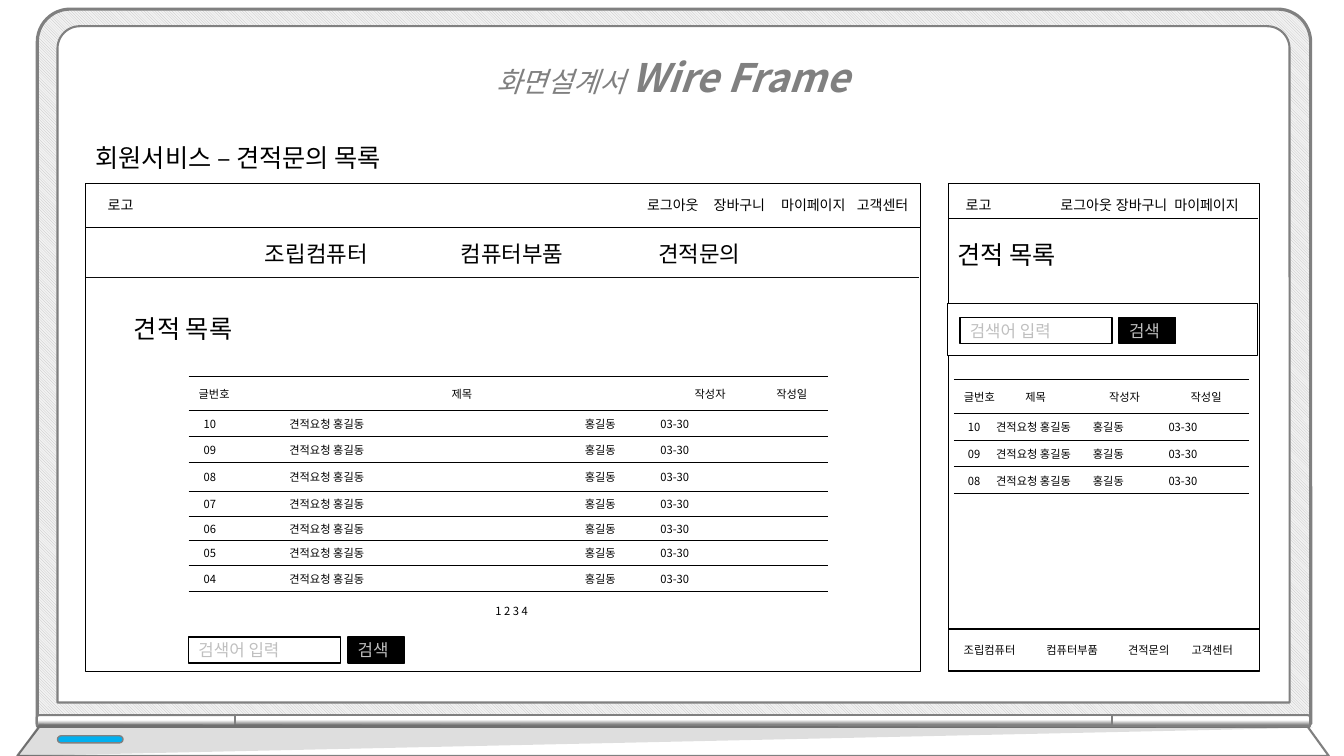
from dataclasses import dataclass
from itertools import accumulate

from lxml import etree
from pptx import Presentation
from pptx import util as u
from pptx.dml.color import RGBColor
from pptx.enum import dml, shapes, text
from pptx.oxml.ns import qn

SHAPE = shapes.MSO_SHAPE
ALIGN = text.PP_ALIGN


@dataclass(frozen=True)
class Theme:
    font: str = "Noto Sans CJK KR"
    ink: str = "000000"
    rule: str = "0D0D0D"
    paper: str = "FFFFFF"
    frame: str = "808080"
    hint: str = "BFBFBF"
    casing: str = "F2F2F2"
    light: str = "00B0F0"
    brand: int = 28
    subtitle: int = 20
    heading: int = 18
    menu: int = 16
    control: int = 12
    nav: int = 10
    small: int = 8
    thin: float = 0.5
    line: float = 1
    bold_line: float = 1.5
    casing_line: float = 2.25


class Wireframe:
    def __init__(self, page, theme):
        self.page = page
        self.theme = theme
        self.target = page.shapes

    def color(self, value):
        return RGBColor.from_string(value)

    def style(self, font, size, color):
        font.name = self.theme.font
        font.size = u.Pt(size)
        font.color.rgb = self.color(color)
        east = etree.Element(qn("a:ea"), typeface=self.theme.font)
        font._element.find(qn("a:latin")).addnext(east)

    def paint(self, shape, fill, line=None, width=0):
        shape.shadow.inherit = False
        if fill:
            shape.fill.solid()
            shape.fill.fore_color.rgb = self.color(fill)
        if line:
            shape.line.color.rgb = self.color(line)
            shape.line.width = u.Pt(width)
        else:
            shape.line.fill.background()

    def shape(self, at, kind=SHAPE.RECTANGLE, fill=None, line=None, width=1, adjust=()):
        box = self.target.add_shape(kind, *map(u.Inches, at))
        for index, value in enumerate(adjust):
            box.adjustments[index] = value
        self.paint(box, fill or self.theme.paper, line or self.theme.ink, width)
        return box

    def hinge(self, at, rotation, corner):
        bar = self.shape(at, SHAPE.ROUND_2_SAME_RECTANGLE, None, self.theme.frame,
                         self.theme.bold_line, (corner, 0))
        bar.rotation = rotation
        bar.fill.gradient()
        bar.fill.gradient_angle = 0
        stops = zip(bar.fill.gradient_stops, (0.17, 0.59), (self.theme.frame, self.theme.paper))
        for stop, position, color in stops:
            stop.position = position
            stop.color.rgb = self.color(color)
        return bar

    def outline(self, points, fill, line=None, alpha=None):
        corners = [(u.Inches(x), u.Inches(y)) for x, y in points]
        builder = self.target.build_freeform(*corners[0])
        builder.add_line_segments(corners[1:], close=True)
        shape = builder.convert_to_shape()
        self.paint(shape, fill, line, self.theme.bold_line)
        if alpha:
            tint = shape.element.spPr.find(qn("a:solidFill"))[0]
            etree.SubElement(tint, qn("a:alpha"), val=str(alpha * 1000))

    def line(self, left, right, top, color):
        ends = [u.Inches(value) for value in (left, top, right, top)]
        rule = self.target.add_connector(shapes.MSO_CONNECTOR.STRAIGHT, *ends)
        rule.line.color.rgb = self.color(color)
        rule.line.width = u.Pt(self.theme.thin)
        etree.SubElement(rule.element.spPr, qn("a:effectLst"))

    def label(self, at, words, size, align=ALIGN.LEFT, stops=()):
        box = self.target.add_textbox(*map(u.Inches, at))
        frame = box.text_frame
        frame.word_wrap = True
        frame.auto_size = text.MSO_AUTO_SIZE.SHAPE_TO_FIT_TEXT
        para = frame.paragraphs[0]
        para.text = words
        para.alignment = align
        if stops:
            tabs = etree.SubElement(para._p.get_or_add_pPr(), qn("a:tabLst"))
            for stop in stops:
                etree.SubElement(tabs, qn("a:tab"), pos=str(u.Inches(stop)), algn="l")
        self.style(para.font, size, self.theme.ink)

    def spread(self, top, height, starts, words, size, right):
        left = starts[0] - 0.1
        stops = [start - starts[0] for start in starts[1:]]
        self.label((left, top, right - left, height), "\t".join(words), size, stops=stops)

    def control(self, at, words, fill):
        box = self.shape(at, fill=fill)
        frame = box.text_frame
        frame.vertical_anchor = text.MSO_ANCHOR.MIDDLE
        para = frame.paragraphs[0]
        para.text = words
        para.alignment = ALIGN.LEFT
        self.style(para.font, self.theme.control, self.theme.hint)

    def search(self, left, top):
        self.control((left, top, 1.51, 0.26), "검색어 입력", self.theme.paper)
        self.control((left + 1.58, top, 0.56, 0.26), "검색", self.theme.ink)

    def border(self, cell):
        properties = cell._tc.get_or_add_tcPr()
        for side in ("lnL", "lnR", "lnT", "lnB"):
            edge = etree.SubElement(properties, qn("a:" + side), w=str(u.Pt(self.theme.thin)))
            if side in ("lnL", "lnR"):
                etree.SubElement(edge, qn("a:noFill"))
            else:
                solid = etree.SubElement(edge, qn("a:solidFill"))
                etree.SubElement(solid, qn("a:srgbClr"), val=self.theme.ink)
        cell.fill.background()

    def table(self, top, edges, heights, rows, columns, insets):
        size = (edges[0], top, edges[-1] - edges[0], sum(heights))
        grid = self.target.add_table(len(rows), len(edges) - 1, *map(u.Inches, size)).table
        grid.first_row = grid.horz_banding = False
        for column, left, right in zip(grid.columns, edges, edges[1:]):
            column.width = u.Inches(right - left)
        for index, (row, height) in enumerate(zip(grid.rows, heights)):
            row.height = u.Inches(height)
            for cell in row.cells:
                self.border(cell)
            kind = min(index, 1)
            starts = columns[kind]
            ends = [*starts[1:], len(edges) - 1]
            for start, end, words, inset in zip(starts, ends, rows[index], insets[kind]):
                cell = grid.cell(index, start)
                if end - start > 1:
                    cell.merge(grid.cell(index, end - 1))
                cell.margin_left = u.Inches(inset)
                cell.margin_right = cell.margin_top = cell.margin_bottom = 0
                cell.vertical_anchor = text.MSO_ANCHOR.MIDDLE
                para = cell.text_frame.paragraphs[0]
                para.text = words
                self.style(para.font, self.theme.small, self.theme.ink)

    def title(self, at, spans):
        box = self.page.shapes.title
        box.left, box.top, box.width, box.height = map(u.Inches, at)
        box.element.getparent().append(box.element)
        frame = box.text_frame
        frame.word_wrap = True
        frame.auto_size = text.MSO_AUTO_SIZE.NONE
        frame.vertical_anchor = text.MSO_ANCHOR.TOP
        para = frame.paragraphs[0]
        para.alignment = ALIGN.CENTER
        para.line_spacing = 1.5
        for words, size, bold in spans:
            span = para.add_run()
            span.text = words
            self.style(span.font, size, self.theme.frame)
            span.font.italic = True
            span.font.bold = bold

    def laptop(self):
        theme = self.theme
        self.target = self.page.shapes.add_group_shape().shapes
        rounded = SHAPE.ROUND_2_SAME_RECTANGLE
        casing = self.shape((0.37, 0.09, 12.63, 7.09), rounded, None, theme.frame,
                            theme.casing_line, (0.046, 0))
        casing.fill.patterned()
        casing.fill.pattern = dml.MSO_PATTERN.LIGHT_DOWNWARD_DIAGONAL
        casing.fill.fore_color.rgb = self.color(theme.hint)
        casing.fill.back_color.rgb = self.color(theme.casing)
        self.shape((0.57, 0.26, 12.22, 6.71), rounded, None, theme.frame,
                   theme.bold_line, (0.033, 0))
        self.hinge((1.29, 6.17, 0.12, 1.97), 270, 0.193)
        mirrored = self.hinge((11.95, 6.17, 0.12, 1.97), 90, 0.193)
        mirrored.element.spPr.find(qn("a:xfrm")).set("flipH", "1")
        self.hinge((6.62, 2.8, 0.12, 8.7), 270, 0)
        self.outline([(0.39, 7.21), (12.97, 7.21), (13.18, 7.5), (0.17, 7.5)],
                     theme.paper, theme.frame)
        self.outline([(0.39, 7.18), (0.17, 7.5), (13.02, 7.22)], theme.ink, alpha=13)
        self.shape((0.57, 7.3, 0.65, 0.07), SHAPE.ROUNDED_RECTANGLE, theme.light,
                   theme.frame, theme.line, (0.5,))
        self.target = self.page.shapes


HEADER = ("글번호", "제목", "작성자", "작성일")


def listing(first, last):
    posts = [(f"{number:02}", "견적요청 홍길동", "홍길동", "03-30")
             for number in range(first, last - 1, -1)]
    return [HEADER, *posts]


def desktop(wire):
    theme = wire.theme
    wire.shape((0.85, 1.82, 8.28, 4.84))
    wire.shape((0.85, 1.82, 8.28, 0.44))
    wire.label((0.97, 1.9, 2.41, 0.27), "로고", theme.nav)
    wire.line(0.85, 9.11, 2.75, theme.rule)
    wire.label((0.85, 1.36, 3.54, 0.4), "회원서비스 – 견적문의 목록", theme.heading)
    wire.spread(1.9, 0.27, (6.42, 7.08, 7.75, 8.5),
                ("로그아웃", "장바구니", "마이페이지", "고객센터"), theme.nav, 9.13)
    wire.spread(2.33, 0.37, (2.63, 4.57, 6.53),
                ("조립컴퓨터", "컴퓨터부품", "견적문의"), theme.menu, 9.13)
    wire.label((1.23, 3.06, 2.29, 0.4), "견적 목록", theme.heading)
    wire.table(3.73, (1.87, 2.79, 5.74, 6.5, 7.6, 8.21),
               (0.34, 0.26, 0.26, 0.28, 0.25, 0.24, 0.25, 0.26), listing(10, 4),
               ((0, 1, 2, 4), (0, 1, 2, 3)),
               ((0.1, 1.69, 1.15, 0.1), (0.15, 0.08, 0.06, 0.05)))
    wire.label((3.79, 5.95, 2.57, 0.24), "1 2 3 4", theme.small, ALIGN.CENTER)
    wire.search(1.87, 6.32)


def mobile(wire):
    theme = wire.theme
    wire.shape((9.41, 1.82, 3.08, 4.84))
    wire.label((9.48, 1.9, 0.52, 0.27), "로고", theme.nav)
    wire.spread(1.9, 0.27, (10.52, 11.07, 11.65),
                ("로그아웃", "장바구니", "마이페이지"), theme.nav, 12.48)
    wire.line(9.41, 12.48, 2.17, theme.ink)
    wire.label((9.4, 2.33, 2.29, 0.4), "견적 목록", theme.heading)
    wire.shape((9.4, 3.01, 3.07, 0.52))
    wire.search(9.52, 3.15)
    wire.table(3.76, (9.46, 9.88, 10.84, 11.59, 12.39), (0.34, 0.27, 0.26, 0.27),
               listing(10, 8), ((0, 1, 2, 3), (0, 1, 2, 3)),
               ((0.1, 0.29, 0.16, 0.22), (0.14, 0, 0, 0)))
    wire.shape((9.41, 6.24, 3.08, 0.41))
    widths = (0.82, 0.81, 0.63, 0.86)
    lefts = accumulate(widths[:-1], initial=9.46)
    for left, width, words in zip(lefts, widths, ("조립컴퓨터", "컴퓨터부품", "견적문의", "고객센터")):
        wire.label((left, 6.33, width, 0.24), words, theme.small)


def main():
    deck = Presentation()
    deck.slide_width, deck.slide_height = u.Inches(13.33), u.Inches(7.5)
    wire = Wireframe(deck.slides.add_slide(deck.slide_layouts[5]), Theme())
    wire.laptop()
    wire.title((3.67, 0.25, 6, 0.81),
               (("화면설계서 ", wire.theme.subtitle, False), ("Wire Frame", wire.theme.brand, True)))
    desktop(wire)
    mobile(wire)
    deck.save("out.pptx")


if __name__ == "__main__":
    main()
